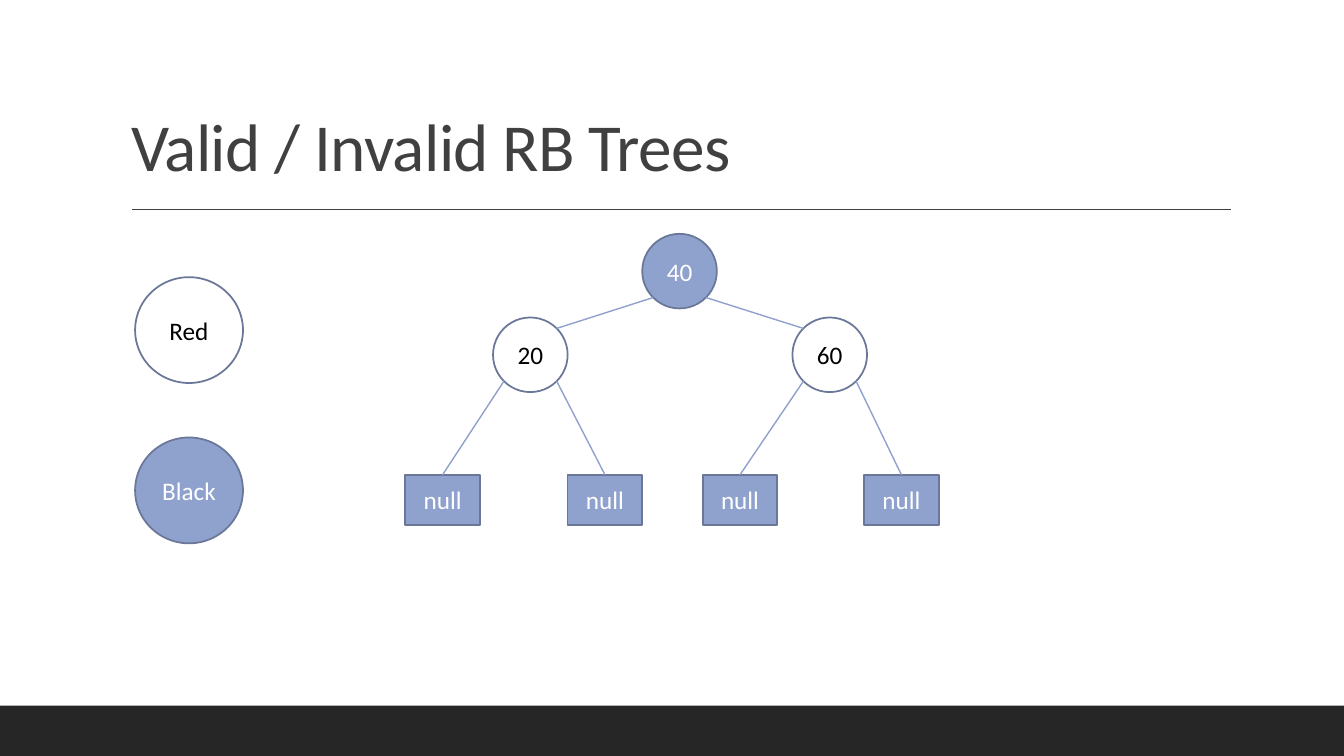
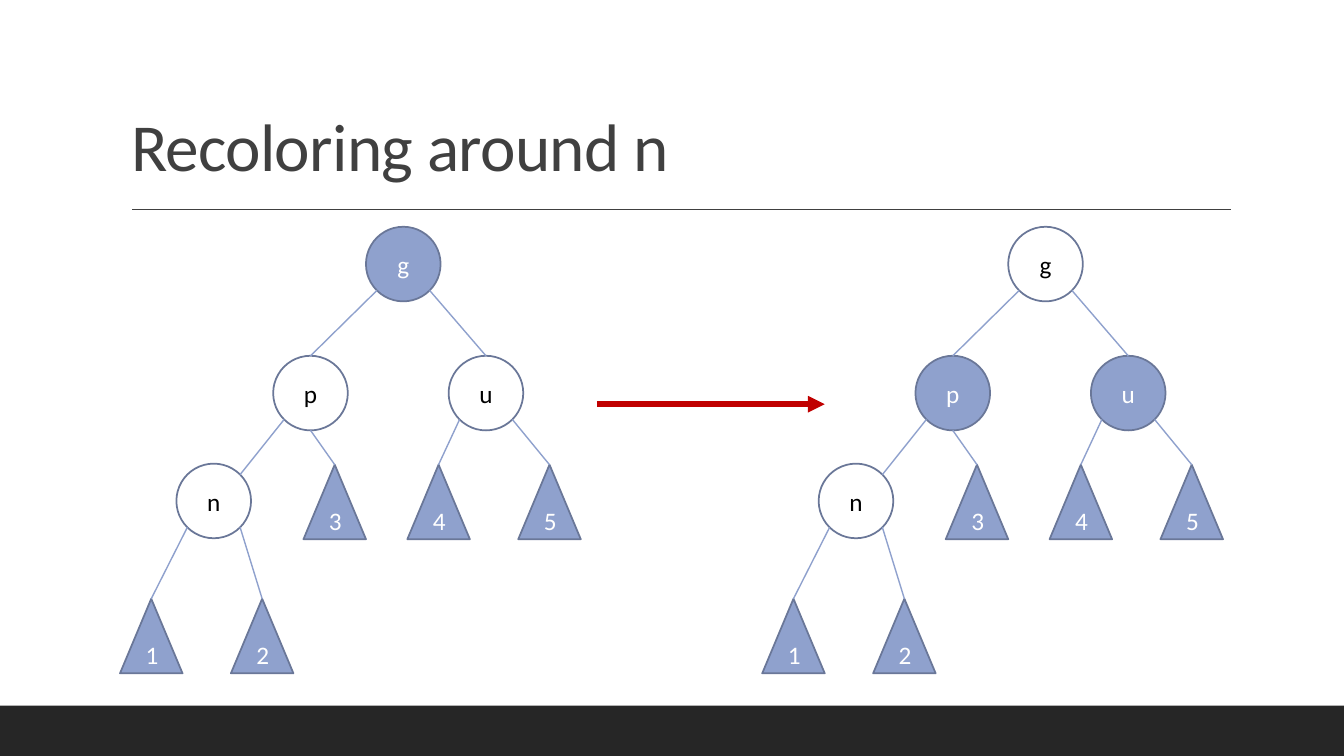
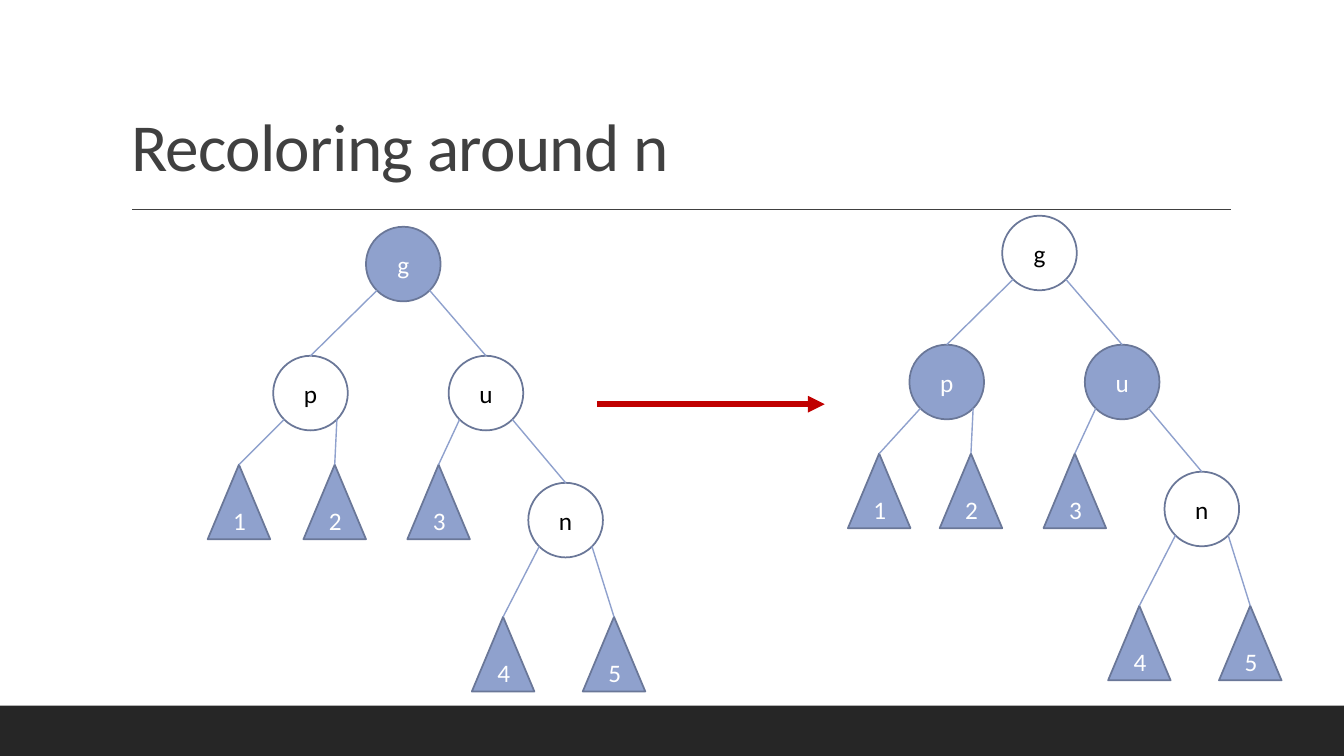
from math import sqrt

from pptx import Presentation
from pptx.dml.color import RGBColor
from pptx.enum import shapes, text
from pptx.oxml import ns, xmlchemy
from pptx.util import Inches, Pt

HUES = {
    "band": "262626",
    "title": "404040",
    "node": "8FA1CD",
    "rim": "6A7798",
    "arrow": "C00000",
    "white": "FFFFFF",
    "black": "000000",
}
FONT = "Calibri"
KIND = shapes.MSO_SHAPE
OVAL, TRI, RECT = KIND.OVAL, KIND.ISOSCELES_TRIANGLE, KIND.RECTANGLE
SIZES = {OVAL: (0.74, 0.74), TRI: (0.62, 0.74), RECT: (0.74, 0.5)}

# Where an edge meets a node, as fractions of its box
NEAR = (1 - sqrt(0.5)) / 2
FAR = 1 - NEAR
SITES = {
    "top": (0.5, 0), "base": (0.5, 1),
    "nw": (NEAR, NEAR), "ne": (FAR, NEAR),
    "sw": (NEAR, FAR), "se": (FAR, FAR),
}

# Nodes: key -> kind, left, top.  Edges: parent, site, child, site.
VALID = {
    "40": (OVAL, 6.37, 2.32),
    "20": (OVAL, 4.89, 3.15),
    "60": (OVAL, 7.86, 3.15),
    "a": (RECT, 4.02, 4.71),
    "b": (RECT, 5.63, 4.71),
    "c": (RECT, 6.97, 4.71),
    "d": (RECT, 8.57, 4.71),
}
VALID_EDGES = [
    "40 sw 20 ne", "40 se 60 nw",
    "20 sw a top", "20 se b top", "60 sw c top", "60 se d top",
]
FAMILY = {
    "g": (OVAL, 3.63, 2.25),
    "p": (OVAL, 2.71, 3.53),
    "u": (OVAL, 4.45, 3.53),
}
FAMILY_EDGES = ["g sw p top", "g se u top"]
OUTER = FAMILY | {
    "n": (OVAL, 1.75, 4.6),
    "1": (TRI, 1.19, 5.94),
    "2": (TRI, 2.29, 5.94),
    "3": (TRI, 3.01, 4.61),
    "4": (TRI, 4.04, 4.61),
    "5": (TRI, 5.14, 4.61),
}
OUTER_EDGES = FAMILY_EDGES + [
    "p sw n ne", "p base 3 top", "u sw 4 top", "u se 5 top",
    "n sw 1 top", "n se 2 top",
]
RIGHT = FAMILY | {
    "n": (OVAL, 5.24, 4.79),
    "1": (TRI, 2.06, 4.61),
    "2": (TRI, 3.01, 4.61),
    "3": (TRI, 4.04, 4.61),
    "4": (TRI, 4.68, 6.12),
    "5": (TRI, 5.78, 6.12),
}
RIGHT_EDGES = FAMILY_EDGES + [
    "p sw 1 top", "p se 2 top", "u sw 3 top", "u se n top",
    "n sw 4 top", "n se 5 top",
]


def color(name):
    return RGBColor.from_string(HUES[name])


def write(shape, words, size=18, hue="white", align=text.PP_ALIGN.CENTER,
          anchor=text.MSO_ANCHOR.MIDDLE, lead=None, track=None):
    """Put one formatted paragraph in a shape; track is in points."""
    frame = shape.text_frame
    frame.word_wrap = True
    frame.auto_size = text.MSO_AUTO_SIZE.NONE
    frame.vertical_anchor = anchor
    para = frame.paragraphs[0]
    para.alignment = align
    para.line_spacing = lead
    run = para.add_run()
    run.text = words
    font = run.font
    font.name, font.size = FONT, Pt(size)
    font.color.rgb = color(hue)
    if track is not None:
        for props in shape.element.iter(ns.qn("a:rPr")):
            props.set("spc", str(round(track * 100)))


def add_box(slide, kind, box, fill, rim=None):
    shape = slide.shapes.add_shape(kind, *map(Inches, box))
    shape.shadow.inherit = False
    shape.fill.solid()
    shape.fill.fore_color.rgb = color(fill)
    if rim:
        shape.line.color.rgb = color(rim)
        shape.line.width = Pt(1.25)
    else:
        shape.line.fill.background()
    return shape


def add_line(slide, start, end, hue, width=1, arrow=False):
    line = slide.shapes.add_connector(
        shapes.MSO_CONNECTOR.STRAIGHT, *map(Inches, (*start, *end)))
    line.line.color.rgb = color(hue)
    line.line.width = Pt(width)
    props = line.element.spPr
    if arrow:
        head = xmlchemy.OxmlElement("a:tailEnd")
        head.set("type", "triangle")
        props.find(ns.qn("a:ln")).append(head)
    props.append(xmlchemy.OxmlElement("a:effectLst"))


def add_node(slide, kind, box, label, dark):
    shape = add_box(slide, kind, box, "node" if dark else "white", "rim")
    write(shape, label, hue="white" if dark else "black")


def add_tree(slide, nodes, edges, dark, dx=0, dy=0):
    """Draw a tree moved by dx, dy; ovals not in dark are light."""
    boxes = {}
    for key, (kind, x, y) in nodes.items():
        boxes[key] = (x + dx, y + dy, *SIZES[kind])
        label = "null" if kind == RECT else key
        add_node(slide, kind, boxes[key], label, kind != OVAL or key in dark)

    def spot(key, site):
        x, y, w, h = boxes[key]
        across, down = SITES[site]
        return x + w * across, y + h * down

    for edge in edges:
        top, leave, low, enter = edge.split()
        add_line(slide, spot(top, leave), spot(low, enter), "node")


def add_slide(deck, words):
    slide = deck.slides.add_slide(deck.slide_layouts[5])
    add_box(slide, RECT, (0, 7, 13.33, 0.5), "band")
    add_line(slide, (1.31, 2.08), (12.21, 2.08), "title")
    title = slide.shapes.title
    title.left, title.top = Inches(1.2), Inches(0.31)
    title.width, title.height = Inches(11), Inches(1.59)
    write(title, words, size=48, hue="title", align=text.PP_ALIGN.LEFT,
          anchor=text.MSO_ANCHOR.BOTTOM, lead=0.9, track=-0.5)
    return slide


def add_recolor(deck, before, after, edges, dx, dy=0):
    """Show a tree, an arrow and the same tree with its colours changed."""
    slide = add_slide(deck, "Recoloring around n")
    add_tree(slide, before, edges, {"g"})
    add_line(slide, (5.92, 4.01), (8.18, 4.01), "arrow", 4, arrow=True)
    add_tree(slide, after, edges, {"p", "u"}, dx, dy)


def main():
    deck = Presentation()
    deck.slide_width, deck.slide_height = Inches(13.33), Inches(7.5)

    slide = add_slide(deck, "Valid / Invalid RB Trees")
    add_tree(slide, VALID, VALID_EDGES, {"40"})
    for label, y in (("Red", 2.75), ("Black", 4.34)):
        add_node(slide, OVAL, (1.34, y, 1.07, 1.05), label, label == "Black")

    add_recolor(deck, OUTER, OUTER, OUTER_EDGES, 6.37)
    moved = RIGHT | {"1": (TRI, 2.1, 4.61)}
    add_recolor(deck, RIGHT, moved, RIGHT_EDGES, 6.31, -0.11)

    deck.save("out.pptx")


if __name__ == "__main__":
    main()
